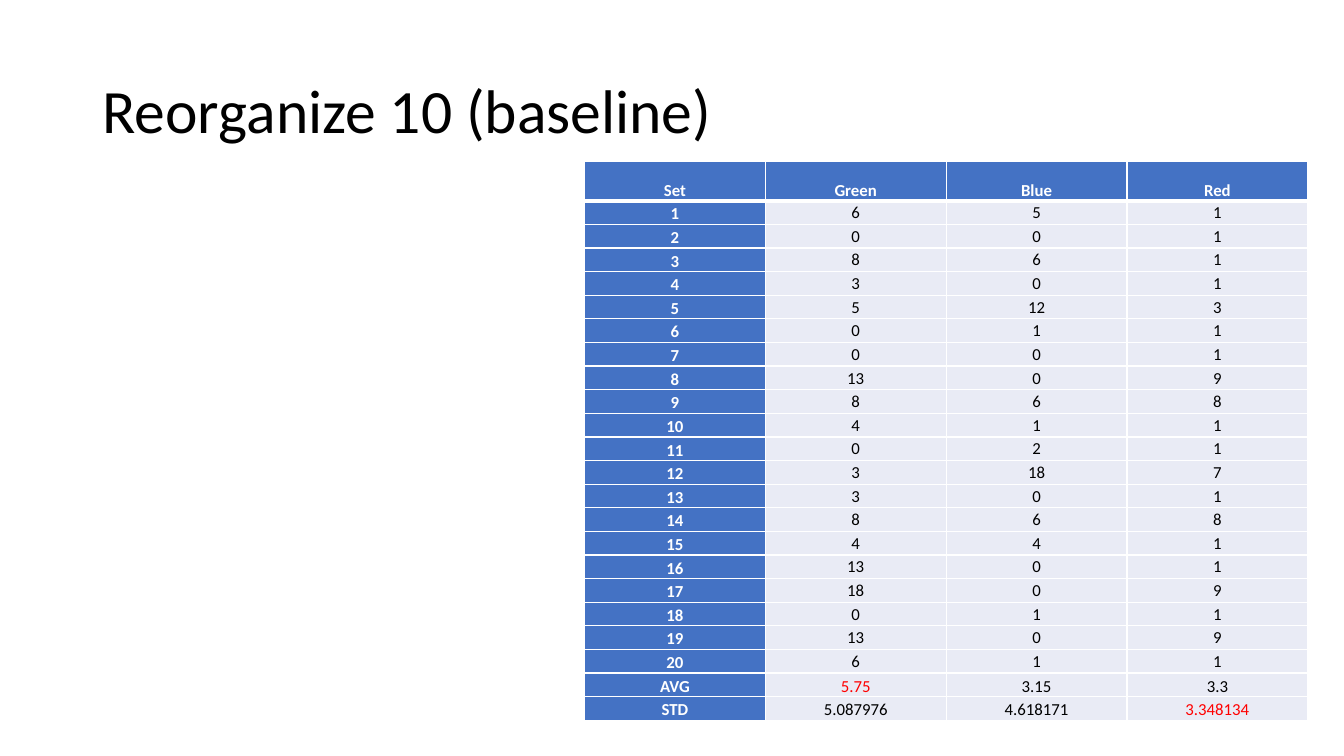
from lxml.etree import SubElement
from pptx import Presentation
from pptx.dml.color import RGBColor
from pptx.enum.text import MSO_ANCHOR as Anchor, PP_ALIGN as Align
from pptx.oxml.ns import qn
from pptx.util import Cm, Pt

BLACK = RGBColor(0x00, 0x00, 0x00)
WHITE = RGBColor(0xFF, 0xFF, 0xFF)
RED = RGBColor(0xFF, 0x00, 0x00)
BLUE = RGBColor(0x44, 0x72, 0xC4)
PALE = RGBColor(0xE9, 0xEB, 0xF5)
FONT = "Calibri"

HEADER = ("Set", "Green", "Blue", "Red")
COUNTS = [
    (6, 5, 1), (0, 0, 1), (8, 6, 1), (3, 0, 1), (5, 12, 3),
    (0, 1, 1), (0, 0, 1), (13, 0, 9), (8, 6, 8), (4, 1, 1),
    (0, 2, 1), (3, 18, 7), (3, 0, 1), (8, 6, 8), (4, 4, 1),
    (13, 0, 1), (18, 0, 9), (0, 1, 1), (13, 0, 9), (6, 1, 1),
]
SUMMARY = [
    ("AVG", 5.75, 3.15, 3.3),
    ("STD", 5.087976, 4.618171, 3.348134),
]
HIGHLIGHTS = (5.75, 3.348134)
rows = [HEADER, *((number, *counts) for number, counts in enumerate(COUNTS, 1)), *SUMMARY]
first_summary_row = len(rows) - len(SUMMARY)


def set_format(target, values):
    for name, value in values.items():
        setattr(target, name, value)


def add_border(cell, side, points):
    line = SubElement(cell._tc.get_or_add_tcPr(), qn(f"a:ln{side}"), w=str(Pt(points)))
    fill = SubElement(line, qn("a:solidFill"))
    SubElement(fill, qn("a:srgbClr"), val=str(WHITE))


presentation = Presentation()
set_format(presentation, {"slide_width": Cm(33.87), "slide_height": Cm(19.05)})
slide = presentation.slides.add_slide(presentation.slide_layouts[5])

# Title
title = slide.shapes.title
set_format(title, {"left": Cm(2.33), "top": Cm(1.01), "width": Cm(29.21), "height": Cm(3.68)})
title.text_frame.text = "Reorganize 10 (baseline)"
title.text_frame.vertical_anchor = Anchor.MIDDLE
paragraph = title.text_frame.paragraphs[0]
set_format(paragraph, {"alignment": Align.LEFT, "line_spacing": 0.9})
set_format(paragraph.runs[0].font, {"name": FONT, "size": Pt(44)})
paragraph.runs[0].font.color.rgb = BLACK

# Table with equal columns and equal rows below a taller header
table_width, table_height, header_height = Cm(18.23), Cm(14.1), Cm(0.99)
table = slide.shapes.add_table(
    len(rows), len(HEADER), Cm(14.73), Cm(4.07), table_width, table_height
).table
table.horz_banding = False
table.first_col = True
for column in table.columns:
    column.width = table_width // len(HEADER)
for row in table.rows:
    row.height = (table_height - header_height) // (len(rows) - 1)
table.rows[0].height = header_height

# Cells
for row_index, values in enumerate(rows):
    for column_index, value in enumerate(values):
        cell = table.cell(row_index, column_index)
        is_heading = row_index == 0 or column_index == 0
        at_bottom = is_heading or row_index >= first_summary_row
        set_format(cell, {
            "text": str(value),
            "vertical_anchor": Anchor.BOTTOM if at_bottom else Anchor.MIDDLE,
            "margin_left": Cm(0.02),
            "margin_right": Cm(0.02),
            "margin_top": Cm(0.02),
            "margin_bottom": 0,
        })

        for side in "LRTB":
            under_header = (row_index, side) in ((0, "B"), (1, "T"))
            add_border(cell, side, 3 if under_header else 1)
        cell.fill.solid()
        cell.fill.fore_color.rgb = BLUE if is_heading else PALE

        paragraph = cell.text_frame.paragraphs[0]
        paragraph.alignment = Align.CENTER
        font = paragraph.runs[0].font
        set_format(font, {"name": FONT, "size": Pt(12), "bold": is_heading})
        if is_heading:
            font.color.rgb = WHITE
        else:
            font.color.rgb = RED if value in HIGHLIGHTS else BLACK

presentation.save("out.pptx")
